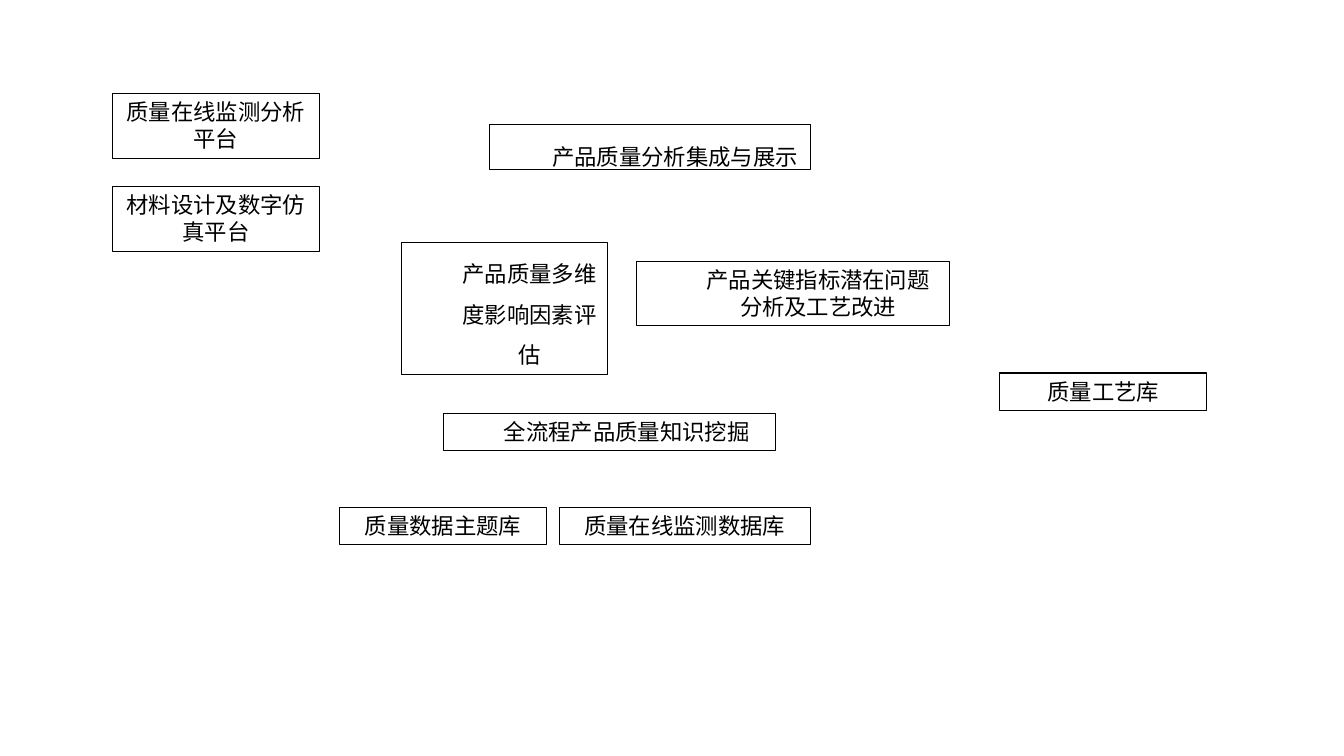
from pptx import Presentation
from pptx.dml.color import RGBColor
from pptx.enum.text import MSO_AUTO_SIZE, PP_ALIGN
from pptx.oxml.ns import qn
from pptx.util import Cm, Pt
from lxml import etree

BLACK = RGBColor(0, 0, 0)
FONT = "Noto Sans CJK SC"
CENTER, LEFT = PP_ALIGN.CENTER, PP_ALIGN.LEFT
GROW = MSO_AUTO_SIZE.SHAPE_TO_FIT_TEXT

WIDE = 5.21           # common box width
ONE, TWO = 0.94, 1.63  # box heights for one and two lines


class Board:
    """Holds the style and the current slide."""

    def __init__(self, slide, font=FONT, size=16, color=BLACK):
        """Keep the slide and the text style."""
        self.slide, self.font = slide, font
        self.size, self.color = Pt(size), color

    def style(self, run):
        """Format one run, Chinese glyphs included."""
        font = run.font
        font.name, font.size = self.font, self.size
        font.color.rgb = self.color
        east = etree.SubElement(run._r.get_or_add_rPr(), qn("a:ea"))
        east.set("typeface", self.font)

    def box(self, text, left, top, width, height,
            align=CENTER, level=0, loose=False, wrap=True):
        """Add an outlined text box; loose opens up the line spacing."""
        box = self.slide.shapes.add_textbox(
            Cm(left), Cm(top), Cm(width), Cm(height))
        box.line.color.rgb = self.color
        box.line.width = Pt(0.75)
        frame = box.text_frame
        frame.word_wrap, frame.auto_size = wrap, GROW
        frame.text = text
        para = frame.paragraphs[0]
        para.alignment, para.level = align, level
        if loose:
            para.line_spacing = 1.5
            para.space_before = para.space_after = Pt(6)
        for run in para.runs:
            self.style(run)


def main():
    """Build the quality platform slide."""
    deck = Presentation()
    deck.slide_width, deck.slide_height = Cm(33.87), Cm(19.05)
    board = Board(deck.slides.add_slide(deck.slide_layouts[6]))

    # Databases
    board.box("质量数据主题库", 8.56, 12.78, WIDE, ONE)
    board.box("质量在线监测数据库", 14.1, 12.78, 6.32, ONE)
    board.box("质量工艺库", 25.2, 9.4, WIDE, ONE)

    # Analysis functions, indented one level
    board.box("全流程产品质量知识挖掘", 11.18, 10.41, 8.36, ONE,
              align=LEFT, level=1)
    board.box("产品关键指标潜在问题分析及工艺改进", 16.05, 6.58, 7.87, TWO,
              level=1)
    board.box("产品质量多维度影响因素评估", 10.11, 6.1, WIDE, 3.33,
              level=1, loose=True)
    board.box("产品质量分析集成与展示", 12.34, 3.15, 8.08, 1.12,
              level=1, loose=True, wrap=False)

    # Platforms
    names = ("质量在线监测分析平台", "材料设计及数字仿真平台")
    for row, name in enumerate(names):
        board.box(name, 2.84, 2.36 + row * 2.34, WIDE, TWO)

    deck.save("out.pptx")


main()
